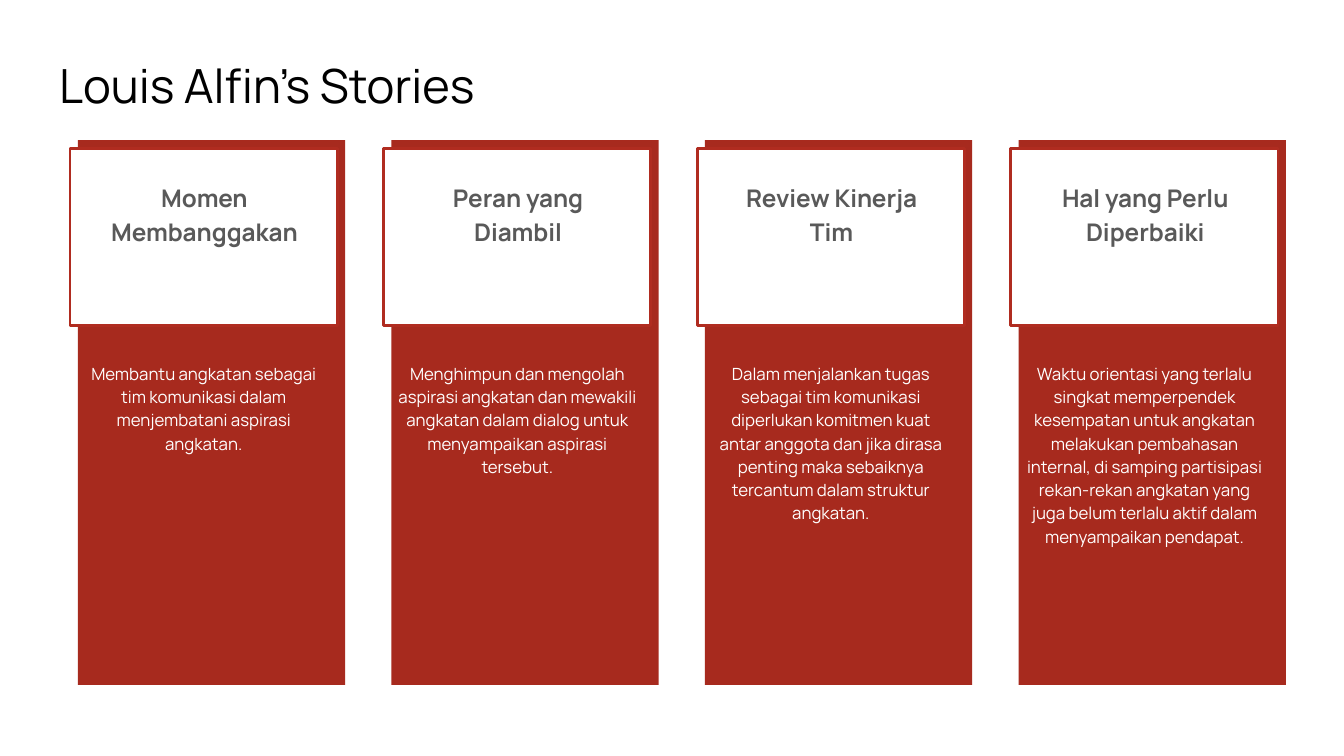
from dataclasses import dataclass

from pptx import Presentation
from pptx.dml.color import RGBColor
from pptx.enum.shapes import MSO_SHAPE as Shape
from pptx.enum.text import MSO_ANCHOR as Anchor, PP_ALIGN as Align
from pptx.util import Pt


@dataclass(frozen=True)
class Theme:
    font: str = "Manrope"
    panel: RGBColor = RGBColor(0xA7, 0x2A, 0x1E)
    border: RGBColor = RGBColor(0xB0, 0x2C, 0x20)
    white: RGBColor = RGBColor(0xFF, 0xFF, 0xFF)
    black: RGBColor = RGBColor(0x00, 0x00, 0x00)
    grey: RGBColor = RGBColor(0x59, 0x59, 0x59)
    title_size: float = 25.2
    heading_size: float = 13
    body_size: float = 9


theme = Theme()


def write(box, text, *, size, color, bold=False, align=Align.CENTER,
          anchor=Anchor.TOP, spacing=1.15):
    frame = box.text_frame
    frame.word_wrap = True
    frame.vertical_anchor = anchor
    frame.margin_left = frame.margin_right = Pt(7.2)
    frame.margin_top = frame.margin_bottom = Pt(7.2)
    para = frame.paragraphs[0]
    para.alignment = align
    para.line_spacing = spacing
    para.space_before = Pt(0)
    span = para.add_run()
    span.text = text
    span.font.name = theme.font
    span.font.size = Pt(size)
    span.font.bold = bold
    span.font.color.rgb = color


def add_panel(group, left, top, width, height, fill):
    panel = group.shapes.add_shape(Shape.RECTANGLE, Pt(left), Pt(top), Pt(width), Pt(height))
    panel.shadow.inherit = False
    panel.fill.solid()
    panel.fill.fore_color.rgb = fill
    panel.line.fill.background()
    return panel


deck = Presentation()
deck.slide_width, deck.slide_height = Pt(720), Pt(405)
page = deck.slides.add_slide(deck.slide_layouts[5])

title = page.shapes.title
title.left, title.top, title.width, title.height = Pt(24.5), Pt(23), Pt(671), Pt(45)
write(title, "Louis Alfin’s Stories", size=theme.title_size, color=theme.black,
      align=Align.LEFT, anchor=Anchor.MIDDLE, spacing=1)

stories = [
    ("Momen Membanggakan",
     "Membantu angkatan sebagai tim komunikasi dalam menjembatani aspirasi angkatan.", 78),
    ("Peran yang Diambil",
     "Menghimpun dan mengolah aspirasi angkatan dan mewakili angkatan dalam dialog "
     "untuk menyampaikan aspirasi tersebut.", 88),
    ("Review Kinerja Tim",
     "Dalam menjalankan tugas sebagai tim komunikasi diperlukan komitmen kuat antar "
     "anggota dan jika dirasa penting maka sebaiknya tercantum dalam struktur angkatan.", 112),
    ("Hal yang Perlu Diperbaiki",
     "Waktu orientasi yang terlalu singkat memperpendek kesempatan untuk angkatan "
     "melakukan pembahasan internal, di samping partisipasi rekan-rekan angkatan yang "
     "juga belum terlalu aktif dalam menyampaikan pendapat.", 141),
]
first_left, pitch, card_width = 37.5, 168, 143.2

for index, (heading, story, story_height) in enumerate(stories):
    left = first_left + index * pitch
    card = page.shapes.add_group_shape()

    add_panel(card, left + 4.2, 75, card_width, 292, theme.panel)
    heading_panel = add_panel(card, left, 79.4, card_width, 95, theme.white)
    heading_panel.line.color.rgb = theme.border
    heading_panel.line.width = Pt(1.5)

    heading_box = card.shapes.add_textbox(Pt(left + 8), Pt(88.8), Pt(128), Pt(48))
    write(heading_box, heading, size=theme.heading_size, color=theme.grey, bold=True)

    story_box = card.shapes.add_textbox(Pt(left), Pt(186), Pt(card_width), Pt(story_height))
    write(story_box, story, size=theme.body_size, color=theme.white)

deck.save("out.pptx")
